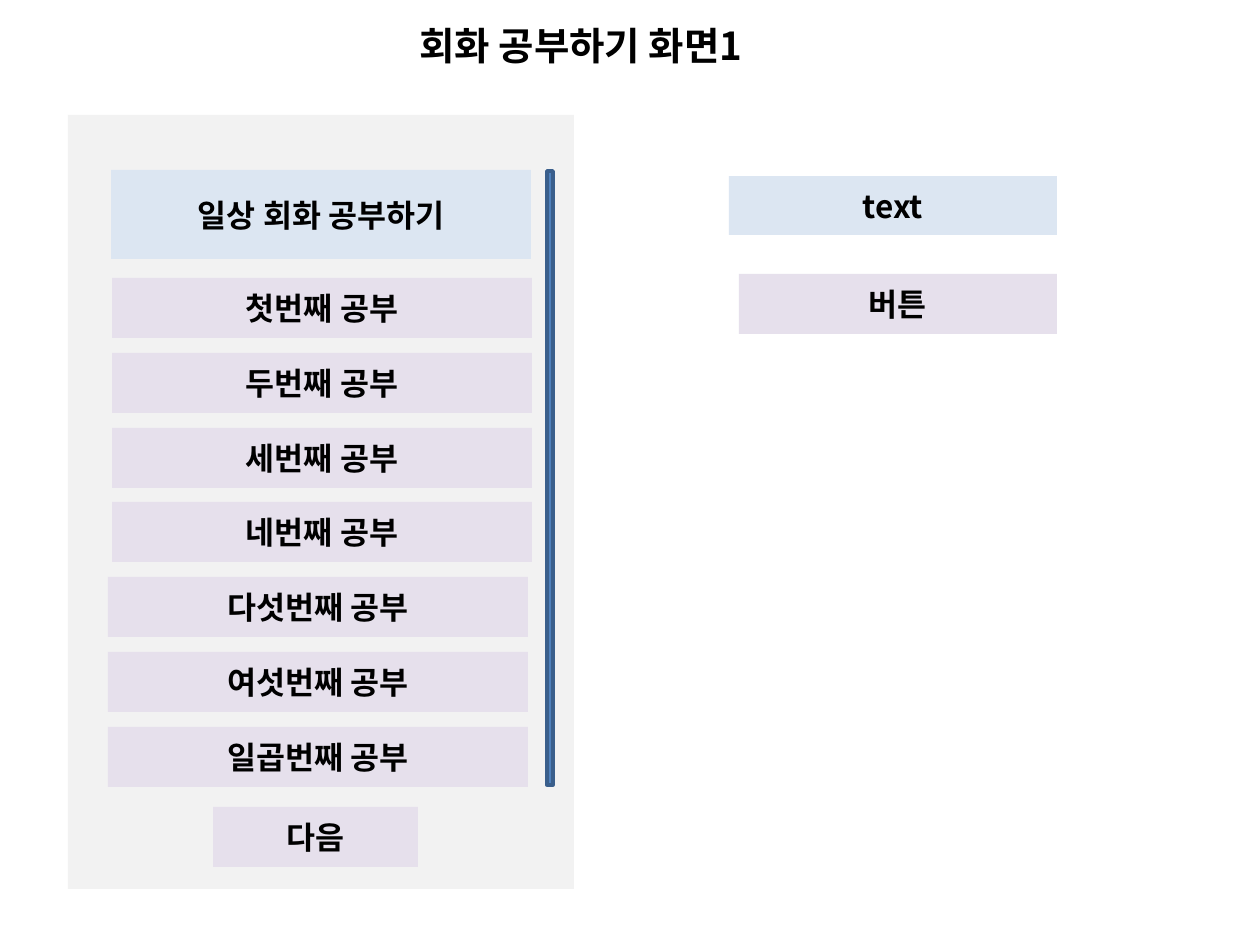
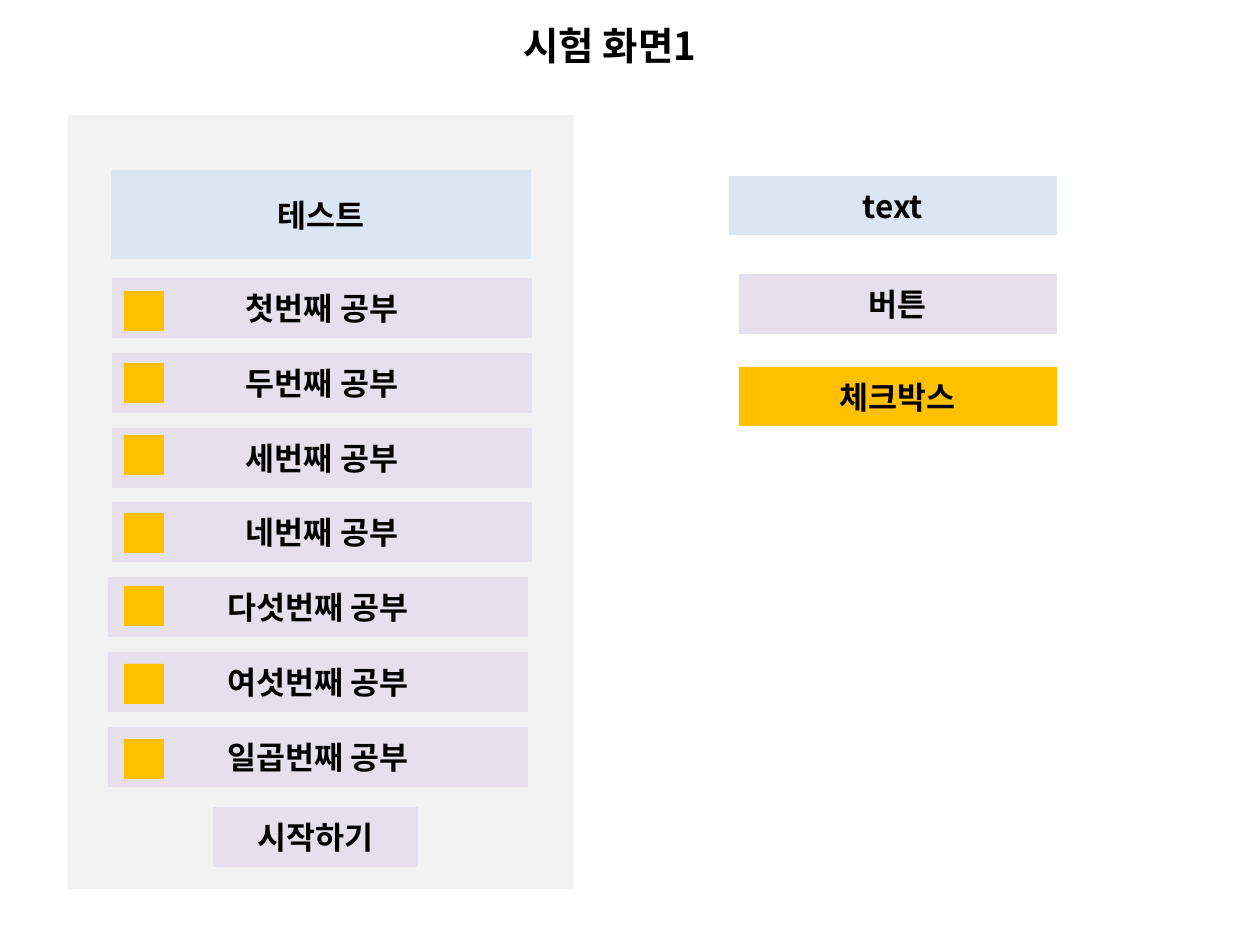
import pptx
import pptx.util
import pptx.dml.color
import pptx.enum.shapes
import pptx.enum.text
import pptx.oxml
import pptx.oxml.ns

# Content
ROWS = ["첫번째 공부", "두번째 공부", "세번째 공부", "네번째 공부",
        "다섯번째 공부", "여섯번째 공부", "일곱번째 공부"]
PAGES = [
    {"title": "회화 공부하기 화면1", "align": "LEFT", "head": "일상 회화 공부하기",
     "next": "다음", "scroll": True, "checks": []},
    {"title": "시험 화면1", "align": "CENTER", "head": "테스트",
     "next": "시작하기", "scroll": False,
     "checks": [291, 363, 435, 513, 586, 664, 739]},
]

# Look
HUES = {"panel": "F2F2F2", "text": "DCE6F2", "button": "E6E0EC",
        "check": "FFC000", "bar": "4F81BD", "edge": "3A5F8C", "ink": "000000"}
FONT = "Noto Sans CJK KR"
SCALE = 914400 / 126

# Layout in pixels
PANEL = (68, 115, 506, 774)
TITLE = (407, 16, 406, 59)
HEAD = (111, 170, 420, 89)
NEXT = (213, 807, 205, 60)
BAR = (547, 171, 6, 614)
KEYS = {"text": ("text", (729, 176, 328, 59)),
        "button": ("버튼", (739, 274, 318, 60)),
        "check": ("체크박스", (739, 367, 318, 59))}
LEFTS = [112] * 4 + [108] * 3
FIRST, LAST = 278, 727
ROW_W, ROW_H = 420, 60
CHECK_X, CHECK_W = 124, 40


def emu(box):
    return [round(v * SCALE) for v in box]


def hue(name):
    return pptx.dml.color.RGBColor.from_string(HUES[name])


def write(frame, words, size, align="CENTER"):
    frame.text = words
    para = frame.paragraphs[0]
    para.alignment = getattr(pptx.enum.text.PP_ALIGN, align)
    run = para.runs[0]
    run.font.size = pptx.util.Pt(size)
    run.font.bold = True
    run.font.color.rgb = hue("ink")
    run.font.name = FONT
    # Hangul takes its font from the East Asian slot
    east = pptx.oxml.parse_xml(
        f'<a:ea {pptx.oxml.ns.nsdecls("a")} typeface="{FONT}"/>')
    run.font.fill  # the fill stays ahead of the fonts
    run._r.get_or_add_rPr().append(east)


def block(slide, box, kind, words=""):
    shape = slide.shapes.add_shape(
        pptx.enum.shapes.MSO_SHAPE.RECTANGLE, *emu(box))
    shape.shadow.inherit = False
    shape.fill.solid()
    shape.fill.fore_color.rgb = hue(kind)
    shape.line.fill.background()
    if words:
        frame = shape.text_frame
        frame.word_wrap = True
        frame.vertical_anchor = pptx.enum.text.MSO_ANCHOR.MIDDLE
        write(frame, words, 18)
    return shape


def heading(slide, words, align):
    frame = slide.shapes.add_textbox(*emu(TITLE)).text_frame
    frame.word_wrap = True
    frame.auto_size = pptx.enum.text.MSO_AUTO_SIZE.SHAPE_TO_FIT_TEXT
    write(frame, words, 22, align)


def screen(deck, page):
    slide = deck.slides.add_slide(deck.slide_layouts[6])

    # Panel with its header
    block(slide, PANEL, "panel")
    block(slide, HEAD, "text", page["head"])

    # Legend
    for kind, (words, box) in KEYS.items():
        if kind != "check" or page["checks"]:
            block(slide, box, kind, words)

    # Evenly spaced rows
    step = (LAST - FIRST) / (len(ROWS) - 1)
    for i, (words, left) in enumerate(zip(ROWS, LEFTS)):
        box = (left, round(FIRST + i * step), ROW_W, ROW_H)
        block(slide, box, "button", words)
    block(slide, NEXT, "button", page["next"])

    # Checkboxes, title and scroll bar
    for top in page["checks"]:
        block(slide, (CHECK_X, top, CHECK_W, CHECK_W), "check")
    heading(slide, page["title"], page["align"])
    if page["scroll"]:
        bar = block(slide, BAR, "bar")
        bar.line.color.rgb = hue("edge")
        bar.line.width = pptx.util.Pt(2)


deck = pptx.Presentation()
deck.slide_width = pptx.util.Inches(10)
deck.slide_height = pptx.util.Inches(7.5)
for page in PAGES:
    screen(deck, page)
deck.save("out.pptx")
